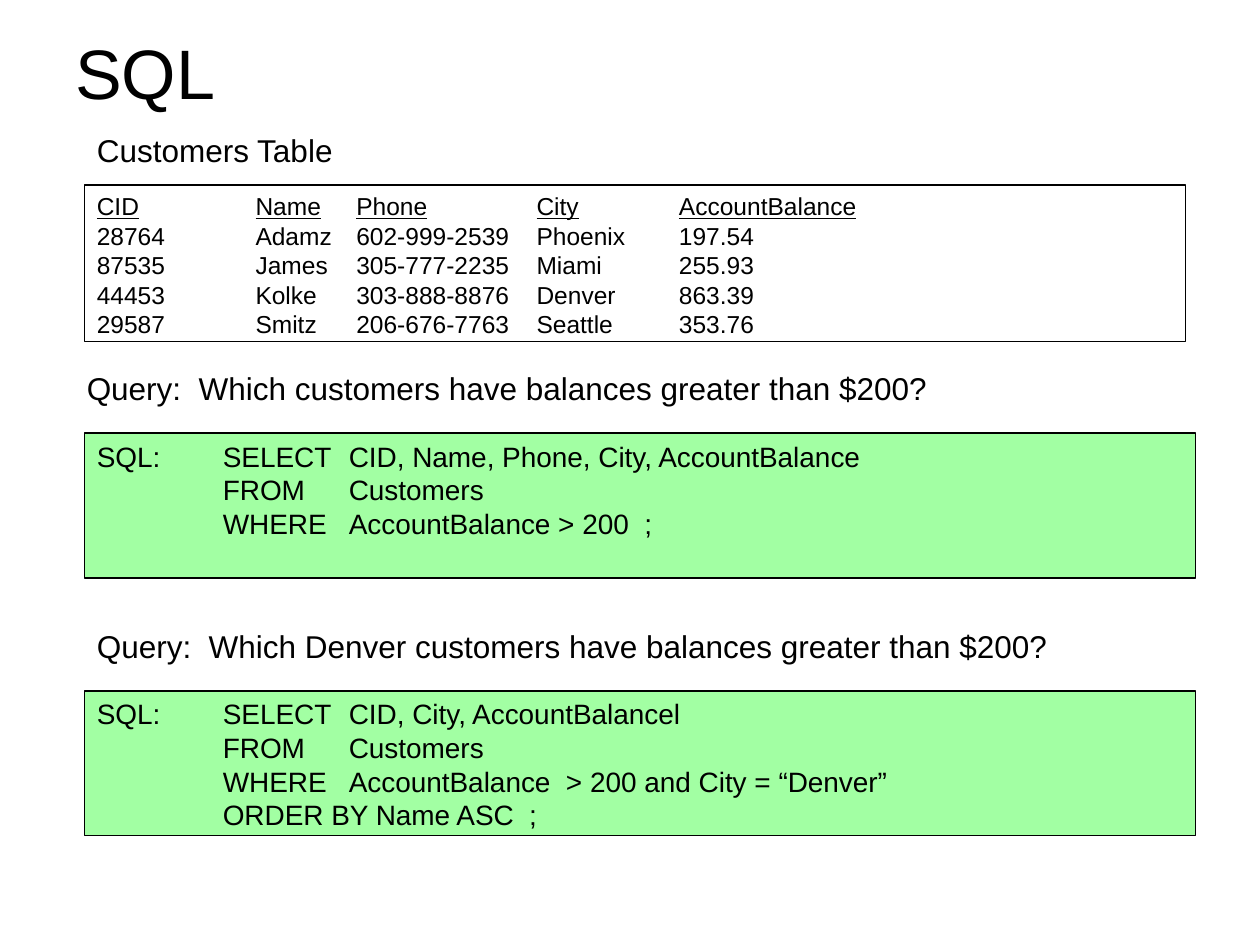
from lxml import etree
from pptx import Presentation
from pptx.dml.color import RGBColor
from pptx.enum import shapes, text
from pptx.oxml import ns
from pptx.util import Pt

COLORS = {"ink": "000000", "code": "A2FFA3"}
INSETS = {"margin_left": Pt(7.2), "margin_right": Pt(7.2),
          "margin_top": Pt(3.6), "margin_bottom": Pt(3.6)}
EVEN_TABS = [72 * inch for inch in range(8)]
CUSTOMER_TABS = [0, 90.72, 148.32, 251.28, 332.64]
LEFT = 48.24

CUSTOMERS = [
    ["CID", "Name", "Phone", "City", "AccountBalance"],
    ["28764", "Adamz", "602-999-2539", "Phoenix", "197.54"],
    ["87535", "James", "305-777-2235", "Miami", "255.93"],
    ["44453", "Kolke", "303-888-8876", "Denver", "863.39"],
    ["29587", "Smitz", "206-676-7763", "Seattle", "353.76"],
]
BALANCE_SQL = [
    "SQL:\tSELECT\tCID, Name, Phone, City, AccountBalance",
    "\tFROM\tCustomers",
    "\tWHERE\tAccountBalance > 200  ;",
]
DENVER_SQL = [
    "SQL:\tSELECT\tCID, City, AccountBalancel",
    "\tFROM\tCustomers",
    "\tWHERE\tAccountBalance  > 200 and City = “Denver”",
    "\tORDER BY Name ASC  ;",
]


def rgb(name):
    return RGBColor.from_string(COLORS[name])


def set_tabs(paragraph, stops):
    tab_list = etree.SubElement(paragraph._p.get_or_add_pPr(), ns.qn("a:tabLst"))
    for stop in stops:
        etree.SubElement(tab_list, ns.qn("a:tab"), pos=str(Pt(stop)), algn="l")


def write_lines(frame, lines, size, tabs=EVEN_TABS, anchor=text.MSO_ANCHOR.TOP):
    layout = {**INSETS, "word_wrap": True, "vertical_anchor": anchor}
    for name, value in layout.items():
        setattr(frame, name, value)
    frame.text = "\n".join(lines)
    for paragraph in frame.paragraphs:
        paragraph.alignment = text.PP_ALIGN.LEFT
        set_tabs(paragraph, tabs)
        font = paragraph.runs[0].font
        for name, value in {"name": "Arial", "size": Pt(size)}.items():
            setattr(font, name, value)
        font.color.rgb = rgb("ink")


def add_label(slide, left, top, width, height, words, size=18,
              anchor=text.MSO_ANCHOR.TOP):
    label = slide.shapes.add_textbox(Pt(left), Pt(top), Pt(width), Pt(height))
    write_lines(label.text_frame, [words], size, anchor=anchor)


def add_panel(slide, top, width, height, fill=None):
    """Add an outlined rectangle and return its text frame."""
    panel = slide.shapes.add_shape(shapes.MSO_SHAPE.RECTANGLE,
                                   Pt(LEFT), Pt(top), Pt(width), Pt(height))
    panel.shadow.inherit = False
    if fill:
        panel.fill.solid()
        panel.fill.fore_color.rgb = rgb(fill)
    else:
        panel.fill.background()
    panel.line.color.rgb = rgb("ink")
    panel.line.width = Pt(1)
    return panel.text_frame


def add_sql(slide, top, lines):
    write_lines(add_panel(slide, top, 635, 82.8, "code"), lines, 16)


def add_customers(slide):
    frame = add_panel(slide, 105.84, 629.28, 89.28)
    write_lines(frame, ["\t".join(row) for row in CUSTOMERS], 14, CUSTOMER_TABS)
    frame.paragraphs[0].runs[0].font.underline = True


def main():
    deck = Presentation()
    deck.slide_width, deck.slide_height = Pt(720), Pt(540)
    slide = deck.slides.add_slide(deck.slide_layouts[6])

    add_label(slide, 36, 21.6, 648, 38.9, "SQL", 40, text.MSO_ANCHOR.MIDDLE)
    add_label(slide, LEFT, 71.3, 574.6, 28.8, "Customers Table")
    add_customers(slide)
    add_label(slide, 42.5, 207.4, 574.6, 28.8,
              "Query:  Which customers have balances greater than $200?")
    add_sql(slide, 247.5, BALANCE_SQL)
    add_label(slide, LEFT, 355, 625, 28.8,
              "Query:  Which Denver customers have balances greater than $200?")
    add_sql(slide, 394.7, DENVER_SQL)

    deck.save("out.pptx")


if __name__ == "__main__":
    main()
